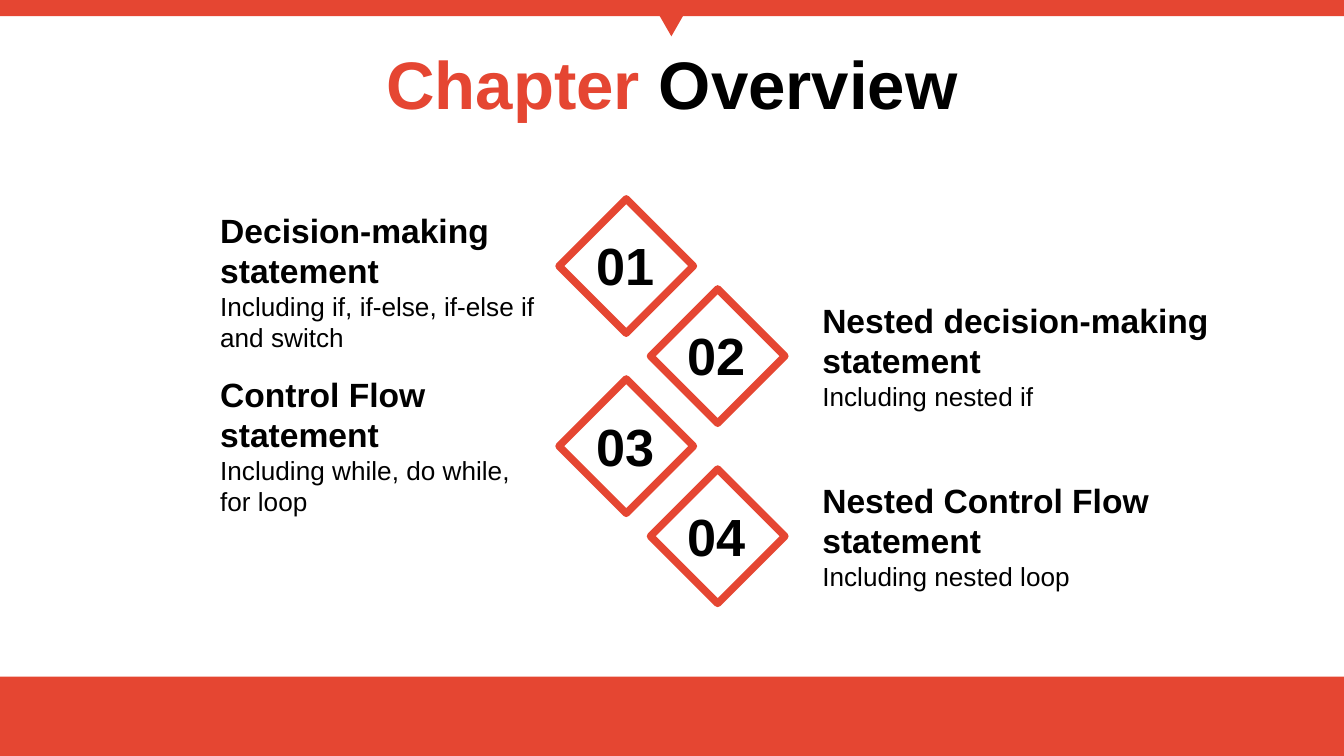
from lxml import etree
from pptx import Presentation
from pptx.dml.color import RGBColor
from pptx.enum import shapes, text
from pptx.oxml.ns import qn
from pptx.util import Inches, Pt

COLORS = {"accent": "E54632", "text": "000000", "background": "FFFFFF"}
FONT = "Arial"
TITLE = [("Chapter ", "accent"), ("Overview", "text")]

# A 16:9 slide
SLIDE_WIDTH = 10
SLIDE_HEIGHT = SLIDE_WIDTH * 9 / 16
FOOTER_HEIGHT = 0.59

# Heading, detail, text box (left, top, width, height)
TOPICS = [
    ("Decision-making statement", "Including if, if-else, if-else if and switch",
     (1.54, 1.51, 2.8, 1.18)),
    ("Nested decision-making statement", "Including nested if",
     (6.02, 2.18, 3.14, 0.94)),
    ("Control Flow statement", "Including while, do while, for loop",
     (1.54, 2.73, 2.4, 1.18)),
    ("Nested Control Flow statement", "Including nested loop",
     (6.02, 3.52, 2.91, 0.94)),
]

# Diamonds zigzag between two columns at an equal vertical step
DIAMOND_LEFTS = (4.16, 4.84)
DIAMOND_TOP, DIAMOND_STEP, DIAMOND_SIZE = 1.48, 0.67, 1
NUMBER_OFFSET = (0.18, 0.21)
NUMBER_SIZE = (0.64, 0.57)


def color(name):
    return RGBColor.from_string(COLORS[name])


def add_run(paragraph, words, size, bold=True, color_name="text"):
    run = paragraph.add_run()
    run.text = words
    run.font.name = FONT
    run.font.size = Pt(size)
    run.font.bold = bold
    run.font.color.rgb = color(color_name)


def add_filled(slide, kind, *box):
    shape = slide.shapes.add_shape(kind, *map(Inches, box))
    shape.shadow.inherit = False
    shape.fill.solid()
    shape.fill.fore_color.rgb = color("accent")
    shape.line.fill.background()
    return shape


def add_text_box(parent, box, wrap=True):
    frame = parent.shapes.add_textbox(*map(Inches, box)).text_frame
    frame.word_wrap = wrap
    return frame


def add_numbered_diamond(slide, index):
    left = DIAMOND_LEFTS[index % 2]
    top = DIAMOND_TOP + index * DIAMOND_STEP
    group = slide.shapes.add_group_shape()
    diamond = group.shapes.add_shape(
        shapes.MSO_SHAPE.DIAMOND,
        *map(Inches, (left, top, DIAMOND_SIZE, DIAMOND_SIZE)))
    diamond.shadow.inherit = False
    diamond.fill.background()
    diamond.line.color.rgb = color("accent")
    diamond.line.width = Pt(4)
    outline = diamond.element.spPr.find(qn("a:ln"))
    etree.SubElement(outline, qn("a:round"))

    box = (left + NUMBER_OFFSET[0], top + NUMBER_OFFSET[1], *NUMBER_SIZE)
    frame = add_text_box(group, box, wrap=False)
    add_run(frame.paragraphs[0], f"{index + 1:02}", 28)


def add_topic(slide, heading, detail, box):
    frame = add_text_box(slide, box)
    frame.auto_size = text.MSO_AUTO_SIZE.SHAPE_TO_FIT_TEXT
    add_run(frame.paragraphs[0], heading, 18)
    add_run(frame.add_paragraph(), detail, 14, bold=False)


def main():
    presentation = Presentation()
    presentation.slide_width = Inches(SLIDE_WIDTH)
    presentation.slide_height = Inches(SLIDE_HEIGHT)
    slide = presentation.slides.add_slide(presentation.slide_layouts[5])
    slide.background.fill.solid()
    slide.background.fill.fore_color.rgb = color("background")

    # Bands and pointer
    add_filled(slide, shapes.MSO_SHAPE.RECTANGLE,
               0, SLIDE_HEIGHT - FOOTER_HEIGHT, SLIDE_WIDTH, FOOTER_HEIGHT)
    add_filled(slide, shapes.MSO_SHAPE.RECTANGLE, 0, 0, SLIDE_WIDTH, 0.12)
    pointer = add_filled(slide, shapes.MSO_SHAPE.ISOSCELES_TRIANGLE,
                         4.84, 0, 0.31, 0.27)
    pointer.rotation = 180

    # Title
    title = slide.shapes.title
    title.left, title.top, title.width, title.height = map(
        Inches, (0, 0.13, SLIDE_WIDTH, 0.97))
    frame = title.text_frame
    frame.word_wrap = True
    frame.auto_size = text.MSO_AUTO_SIZE.NONE
    frame.vertical_anchor = text.MSO_ANCHOR.MIDDLE
    paragraph = frame.paragraphs[0]
    paragraph.alignment = text.PP_ALIGN.CENTER
    for words, color_name in TITLE:
        add_run(paragraph, words, 36, color_name=color_name)

    # Numbered topics
    for index, topic in enumerate(TOPICS):
        add_numbered_diamond(slide, index)
        add_topic(slide, *topic)

    presentation.save("out.pptx")


if __name__ == "__main__":
    main()
